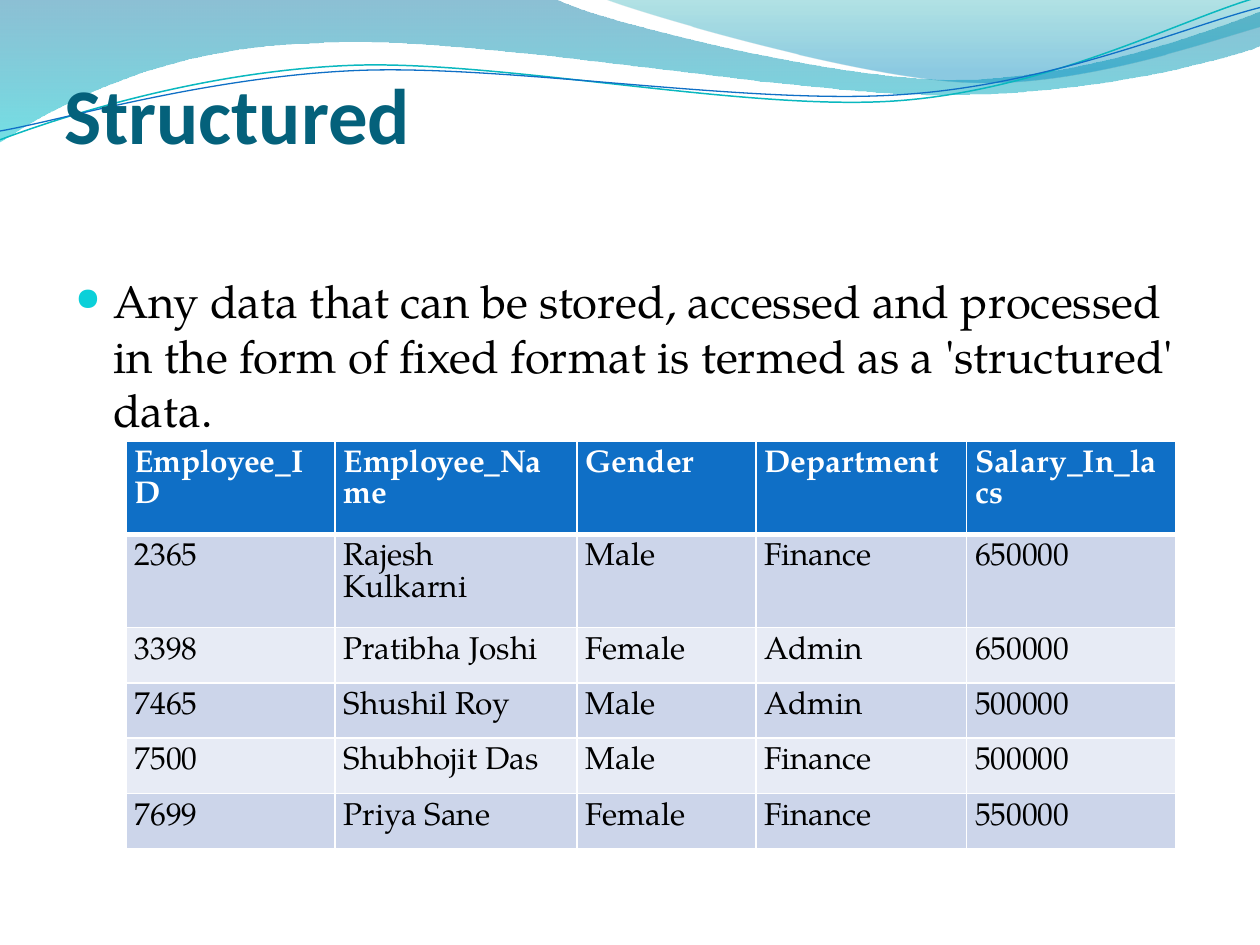
import lxml.etree
import pptx
import pptx.dml.color
import pptx.enum.text
import pptx.oxml.ns
import pptx.util

Inches = pptx.util.Inches
Pt = pptx.util.Pt
qn = pptx.oxml.ns.qn

BODY_FONT = "TeX Gyre Pagella"

LEFT_WAVE = [
    (0, 0), (4.4, -0.01),
    (4.76, 0.17, 6.64, 0.63, 7.58, 0.63), (8.53, 0.63, 9.58, 0.26, 10, 0.09),
    (10.01, 0.36),
    (9.83, 0.44, 8.7, 0.76, 7.46, 0.75), (6.22, 0.75, 3.82, 0.28, 2.57, 0.34),
    (1.29, 0.36, 0.46, 0.83, -0.01, 1.13), (0, 0),
]
RIGHT_WAVE = [
    (4.79, -0.01),
    (5.09, 0.11, 6.82, 0.62, 7.69, 0.65), (8.56, 0.69, 9.61, 0.32, 10, 0.21),
    (10, 0), (4.79, -0.01),
]
TEAL_STRAND = [
    (0, 1.11),
    (0.48, 0.93, 1.58, 0.57, 2.77, 0.52), (3.95, 0.47, 5.93, 0.89, 7.13, 0.8),
    (8.33, 0.71, 9.38, 0.15, 9.98, -0.02),
]
BLUE_STRAND = [
    (0, 1.04),
    (0.47, 0.96, 1.64, 0.61, 2.83, 0.56), (4.03, 0.51, 5.97, 0.84, 7.17, 0.75),
    (8.36, 0.67, 9.41, 0.21, 10, 0.06),
]
EMPLOYEES = [
    ["Employee_ID", "Employee_Name", "Gender", "Department", "Salary_In_lacs"],
    ["2365", "Rajesh Kulkarni", "Male", "Finance", "650000"],
    ["3398", "Pratibha Joshi", "Female", "Admin", "650000"],
    ["7465", "Shushil Roy", "Male", "Admin", "500000"],
    ["7500", "Shubhojit Das", "Male", "Finance", "500000"],
    ["7699", "Priya Sane", "Female", "Finance", "550000"],
]
COLUMN_WIDTHS = [1.66, 1.92, 1.42, 1.67, 1.66]


def rgb(color):
    """Turn a hex string into a colour."""
    return pptx.dml.color.RGBColor.from_string(color)


def add_curve(slide, route, close):
    """Draw a freeform of corners and cubic curves given in inches."""
    points = [(Inches(step[i]), Inches(step[i + 1]))
              for step in route for i in range(0, len(step), 2)]
    builder = slide.shapes.build_freeform(*points[0])
    builder.add_line_segments(points[1:], close=close)
    curve = builder.convert_to_shape()
    curve.shadow.inherit = False
    segments = iter(list(curve.element.iter(qn("a:lnTo"))))
    for step in route[1:]:
        segment = next(segments)
        if len(step) == 6:
            bezier = lxml.etree.Element(qn("a:cubicBezTo"))
            segment.addprevious(bezier)
            for handle in (segment, next(segments), next(segments)):
                bezier.append(handle[0])
                handle.getparent().remove(handle)
    return curve


def add_wave(slide, route, stops):
    """Draw a wave with a translucent gradient from top to bottom."""
    wave = add_curve(slide, route, True)
    wave.line.fill.background()
    wave.fill.gradient()
    wave.fill.gradient_angle = 270
    for stop, (position, color, opacity) in zip(wave.fill.gradient_stops, stops):
        stop.position = position
        stop.color.rgb = rgb(color)
    for tag, (position, color, opacity) in zip(wave.element.iter(qn("a:srgbClr")), stops):
        lxml.etree.SubElement(tag, qn("a:alpha"), val=str(opacity * 1000))


def add_strand(slide, route, color, width):
    """Draw a thin open curve."""
    strand = add_curve(slide, route, False)
    strand.fill.background()
    strand.line.color.rgb = rgb(color)
    strand.line.width = Pt(width)


def style(paragraph, font, size, color, bold=False):
    """Set the font of a paragraph."""
    paragraph.font.name = font
    paragraph.font.size = Pt(size)
    paragraph.font.bold = bold
    paragraph.font.color.rgb = rgb(color)


def add_text(slide, box, text):
    """Add a wrapping text box and return its frame."""
    frame = slide.shapes.add_textbox(*map(Inches, box)).text_frame
    frame.word_wrap = True
    frame.text = text
    return frame


def add_title(slide, text):
    """Add the slide title."""
    title = add_text(slide, (0.51, 0.52, 9, 0.78), text)
    title.margin_left = title.margin_right = title.margin_top = title.margin_bottom = 0
    style(title.paragraphs[0], "Calibri", 45, "04617B", True)


def add_bullet(slide, text):
    """Add the body text with its round bullet."""
    definition = add_text(slide, (0.5, 2.12, 9, 4.8), text).paragraphs[0]
    style(definition, BODY_FONT, 26, "000000")
    definition.space_before = Pt(5)
    properties = definition._p.get_or_add_pPr()
    properties.set("marL", str(Inches(0.3)))
    properties.set("indent", str(-Inches(0.3)))
    bullet_color = lxml.etree.Element(qn("a:buClr"))
    lxml.etree.SubElement(bullet_color, qn("a:srgbClr"), val="0BD0D9")
    bullet_size = lxml.etree.Element(qn("a:buSzPct"), val="70000")
    bullet = lxml.etree.Element(qn("a:buChar"), char="●")
    position = properties.index(properties.find(qn("a:defRPr")))
    properties[position:position] = [bullet_color, bullet_size, bullet]


def add_borders(cell, bottom):
    """Give a cell white borders."""
    properties = cell._tc.get_or_add_tcPr()
    for side, width in (("L", 1), ("R", 1), ("T", 1), ("B", bottom)):
        border = lxml.etree.SubElement(properties, qn("a:ln" + side), w=str(Pt(width)))
        fill = lxml.etree.SubElement(border, qn("a:solidFill"))
        lxml.etree.SubElement(fill, qn("a:srgbClr"), val="FFFFFF")


def fill_cell(cell, text, fill, color, is_header):
    """Write and format one table cell."""
    cell.text = text
    cell.margin_left = cell.margin_top = cell.margin_bottom = Inches(0.07)
    cell.margin_right = Inches(0.12)
    style(cell.text_frame.paragraphs[0], BODY_FONT, 18, color, is_header)
    add_borders(cell, 3 if is_header else 1)
    cell.fill.solid()
    cell.fill.fore_color.rgb = rgb(fill)


def add_employee_table(slide):
    """Add the table of employees with banded rows."""
    table_height = Inches(2.43)
    employees = slide.shapes.add_table(
        len(EMPLOYEES), len(COLUMN_WIDTHS), Inches(1), Inches(3.5),
        Inches(sum(COLUMN_WIDTHS)), table_height).table
    for column, width in zip(employees.columns, COLUMN_WIDTHS):
        column.width = Inches(width)
    for r, record in enumerate(EMPLOYEES):
        employees.rows[r].height = table_height // len(EMPLOYEES)
        is_header = r == 0
        fill = "0F6FC6" if is_header else ("E7EBF5", "CCD5EA")[r % 2]
        color = "FFFFFF" if is_header else "000000"
        for c, text in enumerate(record):
            fill_cell(employees.cell(r, c), text, fill, color, is_header)


def main():
    """Build the slide and save it."""
    deck = pptx.Presentation()
    deck.slide_width, deck.slide_height = Inches(10), Inches(7.5)
    slide = deck.slides.add_slide(deck.slide_layouts[6])
    add_wave(slide, LEFT_WAVE, [(0, "0074A1", 45), (1, "00C6CF", 55)])
    add_wave(slide, RIGHT_WAVE, [(0, "00A1A9", 30), (0.8, "008BBF", 45)])
    add_strand(slide, TEAL_STRAND, "0AB8BF", 0.85)
    add_strand(slide, BLUE_STRAND, "0F6FC6", 0.75)
    add_title(slide, "Structured")
    add_bullet(slide, "Any data that can be stored, accessed and processed in the form "
                      "of fixed format is termed as a 'structured' data.")
    add_employee_table(slide)
    deck.save("out.pptx")


if __name__ == "__main__":
    main()
